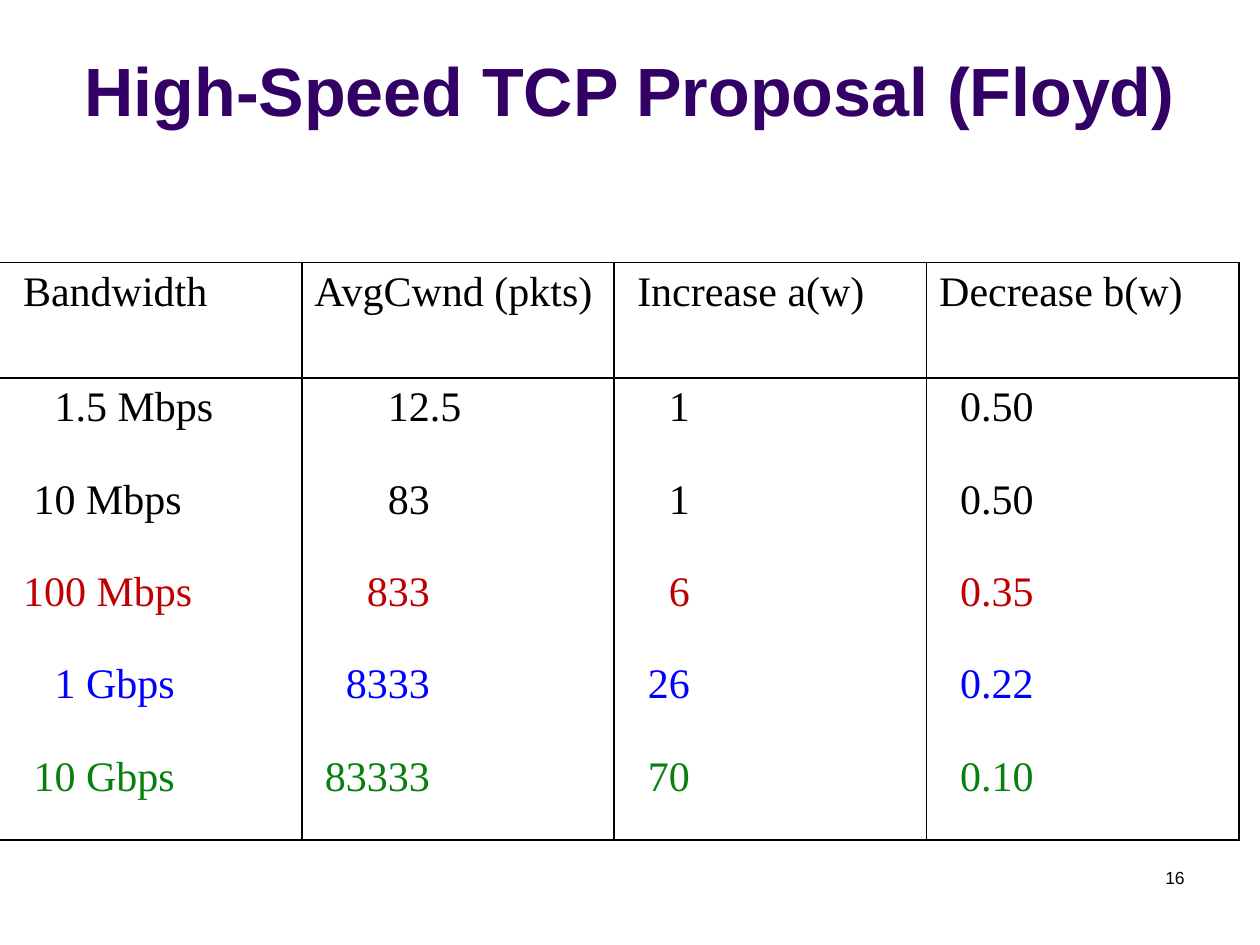
"""Build the High-Speed TCP Proposal slide with its table of rates."""
from dataclasses import dataclass

from lxml.etree import SubElement as Sub
from pptx import Presentation
from pptx.dml.color import RGBColor as RGB
from pptx.enum.text import MSO_ANCHOR as Anchor, MSO_AUTO_SIZE as Auto, PP_ALIGN as Align
from pptx.oxml.ns import qn
from pptx.util import Pt


@dataclass(frozen=True)
class Theme:
    black: str = "000000"
    purple: str = "330066"
    red: str = "C00000"
    blue: str = "0000FF"
    green: str = "07800D"
    sans: str = "Arial"
    serif: str = "Times New Roman"
    head: float = 39
    body: float = 24
    small: float = 10
    rule: float = 1


theme = Theme()


def write(frame, text, font=theme.sans, size=theme.body, color=theme.black,
          bold=False, align=Align.LEFT):
    frame.word_wrap = True
    para = frame.paragraphs[0]
    para.alignment = align
    run = para.add_run()
    run.text = text
    run.font.name = font
    run.font.size = Pt(size)
    run.font.bold = bold
    run.font.color.rgb = RGB.from_string(color)


def border(cell, sides):
    props = cell._tc.get_or_add_tcPr()
    for spot, side in enumerate("LRTB"):
        line = Sub(props, qn(f"a:ln{side}"), w=str(Pt(theme.rule)))
        if side in sides:
            fill = Sub(line, qn("a:solidFill"))
            Sub(fill, qn("a:srgbClr"), val=theme.black)
        else:
            Sub(line, qn("a:noFill"))
        props.insert(spot, line)


deck = Presentation()
deck.slide_width, deck.slide_height = Pt(720), Pt(540)
slide = deck.slides.add_slide(deck.slide_layouts[5])

title = slide.shapes.title
title.left, title.top, title.width, title.height = Pt(0), Pt(9.5), Pt(720), Pt(68.5)
title.text_frame.auto_size = Auto.NONE
title.text_frame.vertical_anchor = Anchor.BOTTOM
write(title.text_frame, "High-Speed TCP Proposal (Floyd)", size=theme.head,
      color=theme.purple, bold=True, align=Align.CENTER)

number = slide.shapes.add_textbox(Pt(516), Pt(492), Pt(168), Pt(36))
write(number.text_frame, "16", size=theme.small, align=Align.RIGHT)

rows = [
    (theme.black, ("Bandwidth", "AvgCwnd (pkts)", "Increase a(w)", "Decrease b(w)"), (2, 0, 1, 0)),
    (theme.black, ("1.5 Mbps", "12.5", "1", "0.50"), (5, 7, 4, 2)),
    (theme.black, ("10 Mbps", "83", "1", "0.50"), (3, 7, 4, 2)),
    (theme.red, ("100 Mbps", "833", "6", "0.35"), (2, 5, 4, 2)),
    (theme.blue, ("1 Gbps", "8333", "26", "0.22"), (5, 3, 2, 2)),
    (theme.green, ("10 Gbps", "83333", "70", "0.10"), (3, 1, 2, 2)),
]
edges = {0: "LRTB", 1: "LRT", len(rows) - 1: "LRB"}
pad, step = 7.2, 6

table = slide.shapes.add_table(len(rows), 4, Pt(-6), Pt(150), Pt(714), Pt(330)).table
table.first_row = table.horz_banding = False
for col in table.columns:
    col.width = Pt(178.5)
for r, (color, texts, steps) in enumerate(rows):
    table.rows[r].height = Pt(52.8 if r else 66)
    for c, (text, count) in enumerate(zip(texts, steps)):
        cell = table.cell(r, c)
        cell.fill.background()
        cell.margin_left = Pt(pad + step * count)
        border(cell, edges.get(r, "LR"))
        write(cell.text_frame, text, font=theme.serif, color=color)

deck.save("out.pptx")
